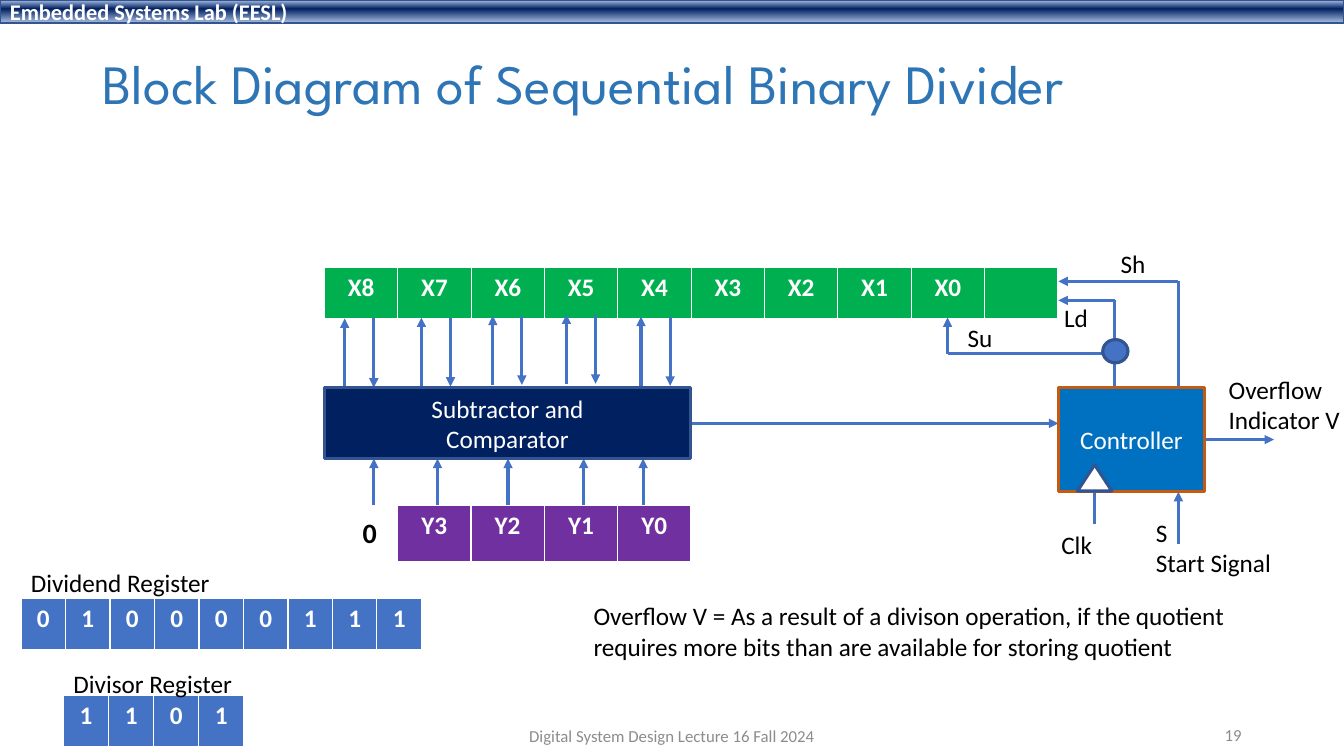
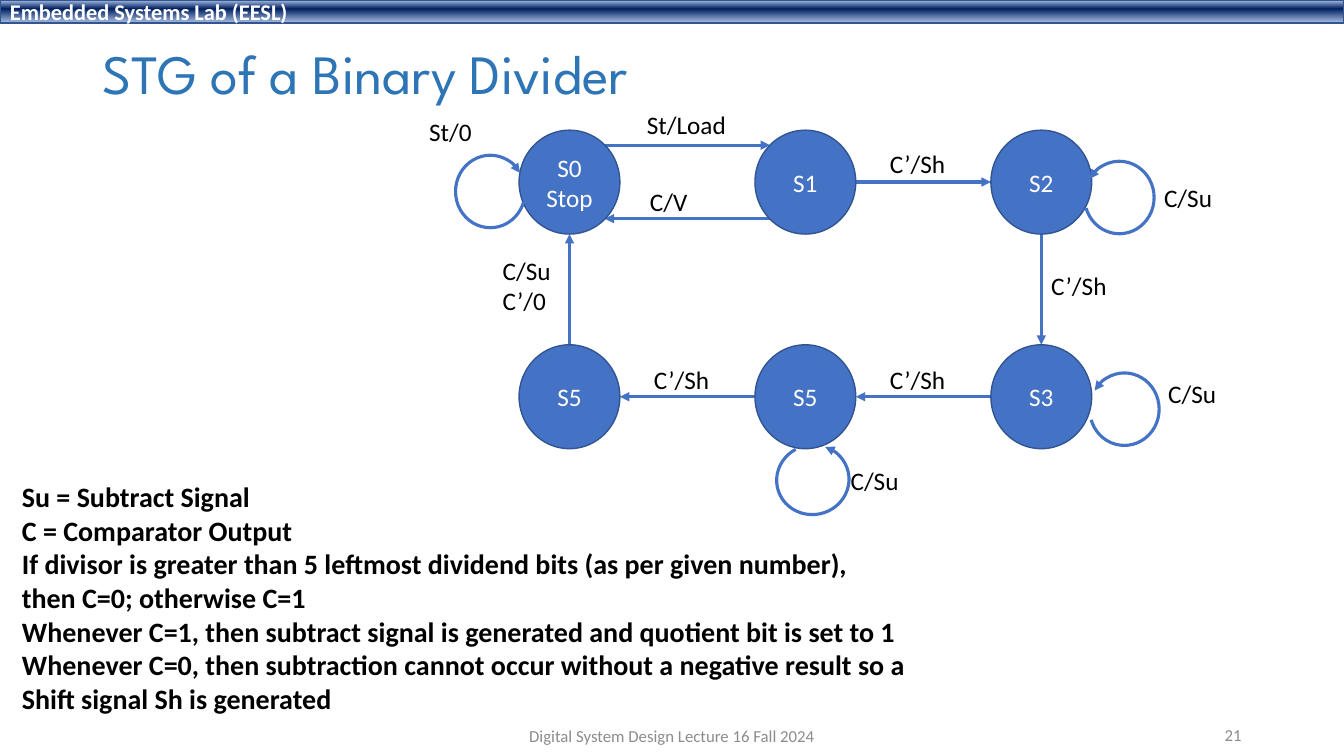
import lxml.etree
import pptx
import pptx.dml.color
import pptx.enum.shapes
import pptx.enum.text
import pptx.oxml.ns
import pptx.util

BLUE, EDGE, NAVY, WHITE = "4472C4", "325491", "002060", "FFFFFF"
GREEN, PURPLE, GREY = "00B050", "7030A0", "8C8C8C"

tint = pptx.dml.color.RGBColor.from_string
qn = pptx.oxml.ns.qn
kinds = pptx.enum.shapes.MSO_SHAPE
sides = pptx.enum.text.PP_ALIGN
MIDDLE = pptx.enum.text.MSO_ANCHOR.MIDDLE


def write(frame, text, size=18, color="000000", bold=False, font="Calibri",
          align=sides.LEFT, anchor=None, space=None):
    """Fill a text frame, one paragraph for each line of text."""
    if anchor is not None:
        frame.vertical_anchor = anchor
    for i, line in enumerate(text.split("\n")):
        par = frame.add_paragraph() if i else frame.paragraphs[0]
        par.alignment = align
        par.line_spacing = space
        run = par.add_run()
        run.text = line
        run.font.size = pptx.util.Pt(size)
        run.font.name = font
        run.font.bold = bold
        run.font.color.rgb = tint(color)


def paint(shape, fill=None, line=BLUE, width=2.25, arrow=False):
    """Set fill, line and arrowhead of a shape or connector, without shadow."""
    if fill:
        shape.fill.solid()
        shape.fill.fore_color.rgb = tint(fill)
    shape.line.color.rgb = tint(line)
    shape.line.width = pptx.util.Pt(width)
    props = shape._element.spPr
    if arrow:
        lxml.etree.SubElement(props.find(qn("a:ln")), qn("a:tailEnd"), type="triangle")
    lxml.etree.SubElement(props, qn("a:effectLst"))


# Divider: bit wires between the registers and the subtractor
bits = []
for x, top in [(246.2, 227.5), (301, 226.8), (352, 225.5), (404.6, 224.7), (457.9, 226.2)]:
    low = top + 49.4
    bits += [(True, [(x, low), (x, top)]), (True, [(x + 20.8, top), (x + 20.8, low)])]
for x in (267.1, 312.5, 362.9, 416.9, 459.4):
    bits.append((True, [(x, 361), (x, 327.6)]))

divider = dict(
    title="Block Diagram of Sequential Binary Divider",
    place=(66, 11, 828, 101),
    number="19",
    # left, top, column width, height, fill, cells
    tables=[
        (231.8, 191, 52.4, 36.5, GREEN, [f"X{n}" for n in range(8, -1, -1)] + [""]),
        (284, 361, 52.4, 40.5, PURPLE, ["Y3", "Y2", "Y1", "Y0"]),
        (15, 427.7, 31.8, 36.5, BLUE, "010000111"),
        (45.4, 496.8, 32.2, 36.5, BLUE, "1101"),
    ],
    # arrowhead, corner points
    wires=bits + [
        (True, [(493, 302.4), (756, 302.4)]),
        (False, [(782, 350), (782, 374.4)]),
        (True, [(860.4, 314), (910, 314)]),
        (True, [(796.3, 277), (796.3, 214.6), (756, 214.6)]),
        (True, [(841.7, 277), (841.7, 201), (756, 201)]),
        (True, [(796.3, 252.7), (676.8, 252.7), (676.8, 226.8)]),
        (True, [(841.7, 388.8), (841.7, 351.4)]),
    ],
    # kind, box, fill, line, width, text
    nodes=[
        (kinds.RECTANGLE, (231.8, 277, 261.4, 50.6), NAVY, EDGE, 2.25,
         "Subtractor and\nComparator"),
        (kinds.RECTANGLE, (756, 277, 104.4, 74.2), "0070C0", "C55A11", 2.25, "Controller"),
        (kinds.ISOSCELES_TRIANGLE, (769.7, 332, 24.5, 18.7), WHITE, EDGE, 2.25, ""),
        (kinds.OVAL, (787.7, 242.6, 18, 16.6), BLUE, EDGE, 2.25, ""),
    ],
    arcs=[],
    # left, top, width, text
    labels=[
        (751, 374.4, 36.7, "Clk"),
        (870.5, 263.5, 95, "Overflow\nIndicator V"),
        (753, 212.4, 31.7, "Ld"),
        (793.4, 174.2, 32.4, "Sh"),
        (684, 226.8, 32.4, "Su"),
        (15, 401.8, 144, "Dividend Register"),
        (45.4, 473.8, 129, "Divisor Register"),
        (818.6, 365.8, 97.2, "S\nStart Signal"),
        (416.9, 425.5, 471,
         "Overflow V = As a result of a divison operation, if the quotient\n"
         "requires more bits than are available for storing quotient"),
    ],
    notes=[(252, 364.3, 24.5, "0")],
)

# State graph: circles on a grid of three columns and two rows
states = []
for row, names in enumerate([("S0\nStop", "S1", "S2"), ("S5", "S5", "S3")]):
    for col, name in enumerate(names):
        box = (370.8 + 168.5 * col, 93 + 153.3 * row, 72, 74.2)
        states.append((kinds.OVAL, box, BLUE, EDGE, 1, name))

graph = dict(
    title="STG of a Binary Divider",
    place=(66, 29, 828, 52),
    number="21",
    tables=[],
    wires=[(True, ends) for ends in [
        [(432, 103.7), (550, 103.7)],
        [(550, 156.2), (432, 156.2)],
        [(611.3, 130), (707.8, 130)],
        [(743.8, 167.2), (743.8, 246.3)],
        [(707.8, 283.4), (611.3, 283.4)],
        [(539.3, 283.4), (442.8, 283.4)],
        [(406.8, 246.3), (406.8, 167.2)],
    ]],
    nodes=states,
    # left, top, mirrored, turn
    arcs=[
        (325.4, 110.9, False, 0),
        (774.7, 115.2, True, 0),
        (778.3, 266.4, True, 0),
        (555.8, 316.8, True, 78.4),
    ],
    labels=[
        (455, 74.9, 71.3, "St/Load"),
        (457.2, 129.6, 41.8, "C/V"),
        (628.6, 102.2, 54.7, "C’/Sh"),
        (743.8, 189.4, 54.7, "C’/Sh"),
        (628.6, 257, 54.7, "C’/Sh"),
        (460, 257, 54.7, "C’/Sh"),
        (352, 178.6, 49, "C/Su\nC’/0"),
        (299.5, 79.9, 45.4, "St/0"),
        (824.4, 126.7, 49, "C/Su"),
        (827.3, 266.4, 49, "C/Su"),
        (600.5, 329, 49, "C/Su"),
    ],
    notes=[
        (8.6, 339, 651,
         "Su = Subtract Signal\n"
         "C = Comparator Output\n"
         "If divisor is greater than 5 leftmost dividend bits (as per given number),\n"
         "then C=0; otherwise C=1\n"
         "Whenever C=1, then subtract signal is generated and quotient bit is set to 1\n"
         "Whenever C=0, then subtraction cannot occur without a negative result so a\n"
         "Shift signal Sh is generated"),
    ],
)

deck = pptx.Presentation()
deck.slide_width, deck.slide_height = pptx.util.Pt(960), pptx.util.Pt(540)

for page in (divider, graph):
    slide = deck.slides.add_slide(deck.slide_layouts[5])
    shapes = slide.shapes

    title = shapes.title
    title.left, title.top, title.width, title.height = map(pptx.util.Pt, page["place"])
    title.text_frame.auto_size = pptx.enum.text.MSO_AUTO_SIZE.NONE
    write(title.text_frame, page["title"], size=39.6, color="2E75B6",
          font="League Spartan", anchor=MIDDLE, space=0.9)

    for left, top, width, height, fill, texts in page["tables"]:
        box = map(pptx.util.Pt, (left, top, width * len(texts), height))
        table = shapes.add_table(1, len(texts), *box).table
        for cell, text in zip(table.iter_cells(), texts):
            cell.fill.solid()
            cell.fill.fore_color.rgb = tint(fill)
            if text:
                write(cell.text_frame, text, color=WHITE, bold=True, align=sides.CENTER)

    for arrow, points in page["wires"]:
        for start, end in zip(points, points[1:]):
            wire = shapes.add_connector(pptx.enum.shapes.MSO_CONNECTOR.STRAIGHT,
                                        *map(pptx.util.Pt, start + end))
            paint(wire, arrow=arrow and end == points[-1])

    for kind, box, fill, line, width, text in page["nodes"]:
        node = shapes.add_shape(kind, *map(pptx.util.Pt, box))
        paint(node, fill, line, width)
        if text:
            write(node.text_frame, text, color=WHITE, align=sides.CENTER, anchor=MIDDLE)

    for left, top, mirror, turn in page["arcs"]:
        arc = shapes.add_shape(kinds.ARC, *map(pptx.util.Pt, (left, top, 49.7, 51.8)))
        arc.adjustments[0], arc.adjustments[1] = 10.69, 196.74
        arc.rotation = turn
        if mirror:
            arc._element.spPr.xfrm.set("flipH", "1")
        arc.fill.background()
        paint(arc, arrow=True)

    for group, size in (("labels", 18), ("notes", 20)):
        for left, top, width, text in page[group]:
            height = 7.2 + 1.2 * size * len(text.split("\n"))
            label = shapes.add_textbox(*map(pptx.util.Pt, (left, top, width, height)))
            label.text_frame.word_wrap = False
            label.text_frame.auto_size = pptx.enum.text.MSO_AUTO_SIZE.SHAPE_TO_FIT_TEXT
            write(label.text_frame, text, size=size, bold=group == "notes")

    for box, text, align in [
        ((678, 510.5, 216, 29), page["number"], sides.RIGHT),
        ((318, 511, 324, 29), "Digital System Design Lecture 16 Fall 2024", sides.CENTER),
    ]:
        foot = shapes.add_textbox(*map(pptx.util.Pt, box))
        foot.text_frame.word_wrap = True
        write(foot.text_frame, text, size=12, color=GREY, align=align, anchor=MIDDLE)

# Header band, drawn once and moved to the master
band = shapes.add_shape(kinds.RECTANGLE, *map(pptx.util.Pt, (0, 0, 960, 16.6)))
paint(band, NAVY, EDGE, 1)
band.fill.gradient()
band.fill.gradient_angle = 270
stops = band._element.spPr.find(qn("a:gradFill")).find(qn("a:gsLst"))
for stop in list(stops):
    stops.remove(stop)
for place, color in [(0, "ABC0E4"), (38, NAVY), (100, "ACC1E5")]:
    stop = lxml.etree.SubElement(stops, qn("a:gs"), pos=str(place * 1000))
    lxml.etree.SubElement(stop, qn("a:srgbClr"), val=color)
band.text_frame.word_wrap = True
write(band.text_frame, "Embedded Systems Lab (EESL)", size=16, color=WHITE, bold=True,
      anchor=MIDDLE)
deck.slide_master.shapes._spTree.append(band._element)

deck.save("out.pptx")
